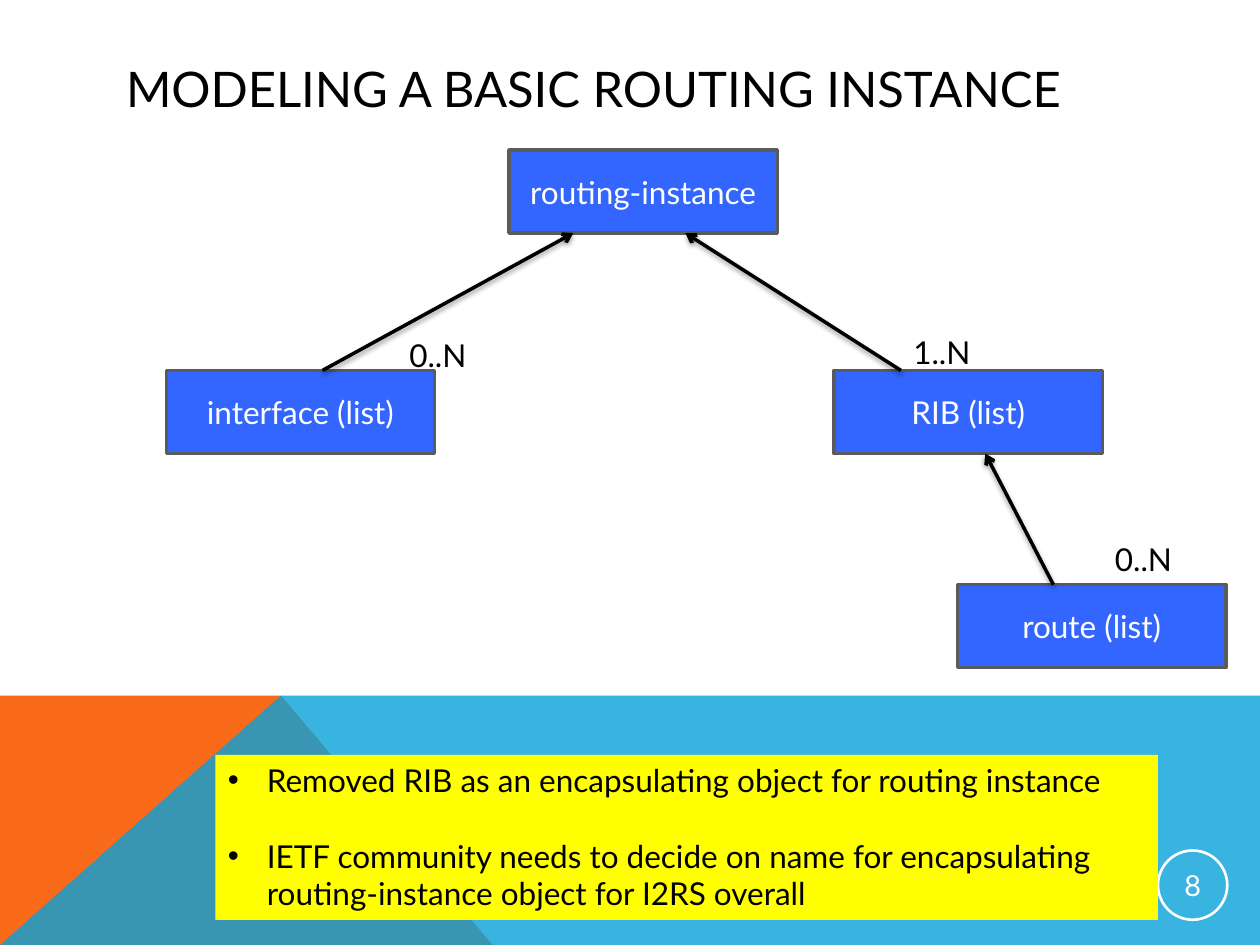
from lxml import etree
from pptx import Presentation
from pptx.dml.color import RGBColor
from pptx.enum import shapes, text
from pptx.oxml import parse_xml
from pptx.oxml.ns import qn
from pptx.util import Inches, Pt

FONT = "Lato"
COLORS = {"ink": "000000", "paper": "FFFFFF", "node": "3366FF", "edge": "5A5B5D",
          "orange": "F96A1B", "blue": "08A1D9", "note": "FFFF00"}

# Content
TITLE = "MODELING A BASIC ROUTING INSTANCE"
PAGE = "8"
NOTES = [
    "Removed RIB as an encapsulating object for routing instance",
    "IETF community needs to decide on name for encapsulating "
    "routing-instance object for I2RS overall",
]
NODE_W, NODE_H = 2.13, 0.66
NODES = {  # label: left, top
    "routing-instance": (4.04, 1.19),
    "interface (list)": (1.32, 2.94),
    "RIB (list)": (6.62, 2.94),
    "route (list)": (7.6, 4.64),
}
LINKS = [  # child, x on its top, parent, x on its bottom
    ("interface (list)", 2.56, "routing-instance", 4.55),
    ("RIB (list)", 7.15, "routing-instance", 5.44),
    ("route (list)", 8.36, "RIB (list)", 7.82),
]
COUNTS = [("0..N", 3.15, 2.62), ("1..N", 7.15, 2.59), ("0..N", 8.75, 4.24)]
BAND_TOP, PEAK = 5.52, 2.23
BANDS = [  # color, opacity in percent, outline
    ("orange", 100, [(0, 7.5), (0, BAND_TOP), (PEAK, BAND_TOP), (3.91, 7.5)]),
    ("blue", 80, [(0, 7.5), (PEAK, BAND_TOP), (10, BAND_TOP), (10, 7.5)]),
]
SHADOW = (
    '<a:effectLst xmlns:a="http://schemas.openxmlformats.org/drawingml/2006/main">'
    '<a:outerShdw blurRad="39370" dist="20320" dir="5400000" rotWithShape="0">'
    '<a:srgbClr val="000000"><a:alpha val="38000"/></a:srgbClr>'
    '</a:outerShdw></a:effectLst>'
)


def rgb(name):
    return RGBColor.from_string(COLORS[name])


def paint(shape, fill=None, line=None, width=2):
    shape.shadow.inherit = False
    if fill:
        shape.fill.solid()
        shape.fill.fore_color.rgb = rgb(fill)
    else:
        shape.fill.background()
    if line:
        shape.line.color.rgb = rgb(line)
        shape.line.width = Pt(width)
    else:
        shape.line.fill.background()


def write(paragraph, words, size=18, color="ink", align=text.PP_ALIGN.LEFT):
    paragraph.alignment = align
    run = paragraph.add_run()
    run.text = words
    run.font.size, run.font.name = Pt(size), FONT
    run.font.color.rgb = rgb(color)


def add_box(kind, left, top, width, height):
    return slide.shapes.add_shape(kind, *map(Inches, (left, top, width, height)))


def write_centered(shape, words, size):
    frame = shape.text_frame
    frame.vertical_anchor = text.MSO_ANCHOR.MIDDLE
    write(frame.paragraphs[0], words, size, "paper", text.PP_ALIGN.CENTER)


prs = Presentation()
prs.slide_width, prs.slide_height = Inches(10), Inches(7.5)
slide = prs.slides.add_slide(prs.slide_layouts[5])

# Title
title = slide.shapes.title
title.left, title.top, title.width, title.height = map(Inches, (0.9, 0.4, 8.22, 0.6))
title.text_frame.vertical_anchor = text.MSO_ANCHOR.MIDDLE
write(title.text_frame.paragraphs[0], TITLE, 28)

# Bottom bands
for color, opacity, outline in BANDS:
    start, *rest = [(Inches(x), Inches(y)) for x, y in outline]
    builder = slide.shapes.build_freeform(*start)
    builder.add_line_segments(rest, close=True)
    band = builder.convert_to_shape()
    paint(band, color)
    if opacity < 100:
        tint = band.fill._xPr.find(qn("a:solidFill"))[0]
        etree.SubElement(tint, qn("a:alpha")).set("val", str(opacity * 1000))

# Page number
badge = add_box(shapes.MSO_SHAPE.OVAL, 9.19, 6.75, 0.55, 0.55)
paint(badge, None, "paper", 1.5)
frame = badge.text_frame
frame.margin_left = frame.margin_right = Inches(0.01)
frame.margin_top = frame.margin_bottom = Inches(0.01)
write_centered(badge, PAGE, 16.5)

# Notes
panel = add_box(shapes.MSO_SHAPE.RECTANGLE, 1.71, 5.99, 7.48, 1.31)
paint(panel, "note")
frame = panel.text_frame
frame.word_wrap = True
frame.vertical_anchor = text.MSO_ANCHOR.TOP
for i, note in enumerate(NOTES):
    paragraph = frame.add_paragraph() if i else frame.paragraphs[0]
    write(paragraph, note)
    if i:
        paragraph.space_before = Pt(21.6)
    props = paragraph._p.get_or_add_pPr()
    props.set("marL", str(Inches(0.31)))
    props.set("indent", str(-Inches(0.31)))
    etree.SubElement(props, qn("a:buFont")).set("typeface", "Arial")
    etree.SubElement(props, qn("a:buChar")).set("char", "•")

# Nodes
for label, (left, top) in NODES.items():
    node = add_box(shapes.MSO_SHAPE.RECTANGLE, left, top, NODE_W, NODE_H)
    paint(node, "node", "edge")
    write_centered(node, label, 18)

# Links from child to parent
for child, child_x, parent, parent_x in LINKS:
    ends = (child_x, NODES[child][1], parent_x, NODES[parent][1] + NODE_H)
    link = slide.shapes.add_connector(shapes.MSO_CONNECTOR.STRAIGHT, *map(Inches, ends))
    link.line.color.rgb = rgb("ink")
    link.line.width = Pt(2)
    etree.SubElement(link.line._get_or_add_ln(), qn("a:tailEnd")).set("type", "arrow")
    link._element.spPr.append(parse_xml(SHADOW))

# Cardinalities
for count, left, top in COUNTS:
    label = slide.shapes.add_textbox(*map(Inches, (left, top, 0.76, 0.4)))
    label.text_frame.word_wrap = True
    write(label.text_frame.paragraphs[0], count)

prs.save("out.pptx")
